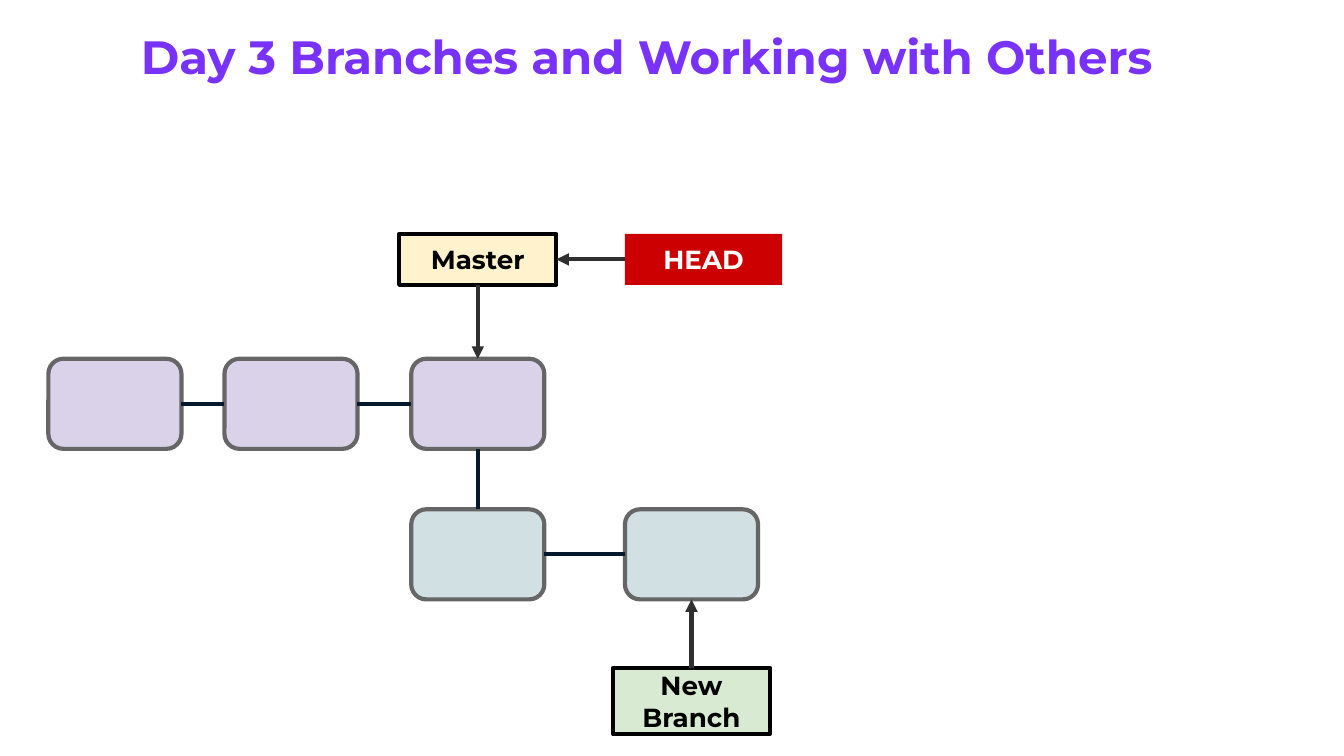
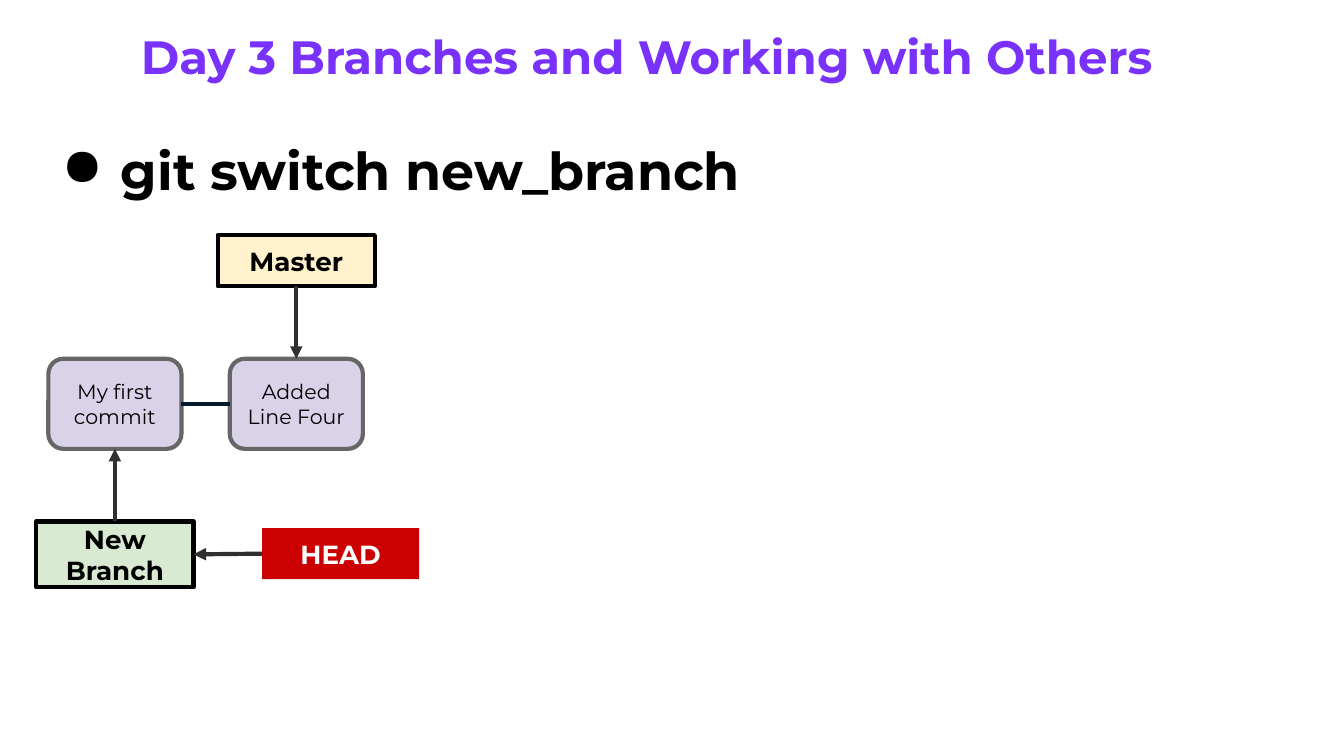
from lxml import etree
from pptx import Presentation
from pptx import util as u
from pptx.dml.color import RGBColor
from pptx.enum import shapes, text
from pptx.oxml import ns

COLORS = {
    "title": "7932FC", "black": "000000", "white": "FFFFFF",
    "commit": "D9D2E9", "branch_commit": "D0E0E3", "commit_line": "666666",
    "master": "FFF2CC", "new_branch": "D9EAD3", "head": "CC0000",
    "link": "05192D", "arrow": "303030",
}
FONT = "Montserrat"
TITLE = "Day 3 Branches and Working with Others"
LINE_WIDTH = u.Pt(2.25)
TOP, LEFT, BOTTOM, RIGHT = range(4)
COMMIT_SIZE = (0.99, 0.67)
LABEL_WIDTH = 1.17
MAIN_ROW = 2.67
BRANCH_ROW = 3.79


def color(name):
    return RGBColor.from_string(COLORS[name])


def write(frame, content, size=14, bold=True, ink="black",
          align=text.PP_ALIGN.CENTER, anchor=text.MSO_ANCHOR.MIDDLE):
    frame.word_wrap = True
    frame.vertical_anchor = anchor
    frame.margin_left = frame.margin_right = u.Inches(0.1)
    frame.margin_top = frame.margin_bottom = u.Inches(0.1)
    for index, line in enumerate(content.split("\n")):
        paragraph = frame.add_paragraph() if index else frame.paragraphs[0]
        paragraph.alignment = align
        run = paragraph.add_run()
        run.text = line
        run.font.name = FONT
        run.font.size = u.Pt(size)
        run.font.bold = bold
        run.font.color.rgb = color(ink)


class Deck:
    def __init__(self):
        self.presentation = Presentation()
        self.presentation.slide_width = u.Inches(10)
        self.presentation.slide_height = u.Inches(5.625)
        self.slide = None

    def add_slide(self):
        layout = self.presentation.slide_layouts[6]
        self.slide = self.presentation.slides.add_slide(layout)
        self.text_box(TITLE, (0.95, 0.11, 8.4, 0.62), 25, "title")

    def text_box(self, content, place, size, ink):
        shape = self.slide.shapes.add_textbox(*map(u.Inches, place))
        write(shape.text_frame, content, size=size, ink=ink,
              align=text.PP_ALIGN.LEFT, anchor=text.MSO_ANCHOR.TOP)
        shape.text_frame.auto_size = text.MSO_AUTO_SIZE.SHAPE_TO_FIT_TEXT
        return shape

    def bullet(self, content, place):
        shape = self.text_box(content, place, 28, "black")
        properties = shape.text_frame.paragraphs[0]._p.get_or_add_pPr()
        properties.set("marL", str(u.Inches(0.5)))
        properties.set("indent", str(u.Inches(-0.44)))
        bullet_color = etree.SubElement(properties, ns.qn("a:buClr"))
        etree.SubElement(bullet_color, ns.qn("a:srgbClr"), val=COLORS["black"])
        etree.SubElement(properties, ns.qn("a:buChar"), char="●")

    def box(self, kind, place, fill, line=None):
        shape = self.slide.shapes.add_shape(kind, *map(u.Inches, place))
        shape.shadow.inherit = False
        shape.fill.solid()
        shape.fill.fore_color.rgb = color(fill)
        if line:
            shape.line.color.rgb = color(line)
            shape.line.width = LINE_WIDTH
        else:
            shape.line.fill.background()
        return shape

    def commit(self, left, top, fill="commit", message=None):
        shape = self.box(shapes.MSO_SHAPE.ROUNDED_RECTANGLE,
                         (left, top, *COMMIT_SIZE), fill, "commit_line")
        if message:
            write(shape.text_frame, message, size=11, bold=False)
        return shape

    def label(self, content, left, top, fill, height=0.38, line="black", ink="black"):
        shape = self.box(shapes.MSO_SHAPE.RECTANGLE,
                         (left, top, LABEL_WIDTH, height), fill, line)
        write(shape.text_frame, content, ink=ink)
        return shape

    def master(self, left, top):
        return self.label("Master", left, top, "master")

    def new_branch(self, left, top):
        return self.label("New Branch", left, top, "new_branch", height=0.49)

    def head(self, left, top):
        return self.label("HEAD", left, top, "head", line=None, ink="white")

    def connect(self, start, start_side, end, end_side, ink, kind):
        connector = self.slide.shapes.add_connector(kind, 0, 0, 0, 0)
        connector.begin_connect(start, start_side)
        connector.end_connect(end, end_side)
        connector.line.color.rgb = color(ink)
        connector.line.width = LINE_WIDTH
        etree.SubElement(connector._element.spPr, ns.qn("a:effectLst"))
        return connector

    def link(self, start, end, start_side=RIGHT, end_side=LEFT,
             kind=shapes.MSO_CONNECTOR.ELBOW):
        self.connect(start, start_side, end, end_side, "link", kind)

    def arrow(self, start, start_side, end, end_side):
        connector = self.connect(start, start_side, end, end_side, "arrow",
                                 shapes.MSO_CONNECTOR.STRAIGHT)
        etree.SubElement(connector.line._get_or_add_ln(), ns.qn("a:tailEnd"),
                         type="triangle")


def build_branch_slide(deck):
    deck.add_slide()
    first, second, third = [deck.commit(left, MAIN_ROW) for left in (0.36, 1.67, 3.06)]
    fourth, fifth = [deck.commit(left, BRANCH_ROW, "branch_commit")
                     for left in (3.06, 4.65)]
    master = deck.master(2.97, 1.74)
    new_branch = deck.new_branch(4.56, 4.97)
    head = deck.head(4.65, 1.74)
    for start, end in ((first, second), (second, third), (fourth, fifth)):
        deck.link(start, end)
    deck.link(fourth, third, TOP, BOTTOM, shapes.MSO_CONNECTOR.STRAIGHT)
    deck.arrow(master, BOTTOM, third, TOP)
    deck.arrow(new_branch, TOP, fifth, BOTTOM)
    deck.arrow(head, LEFT, master, RIGHT)


def build_switch_slide(deck):
    deck.add_slide()
    deck.bullet("git switch new_branch", (0.3, 0.93, 9.25, 0.67))
    first = deck.commit(0.36, MAIN_ROW, message="My first commit")
    second = deck.commit(1.71, MAIN_ROW, message="Added\nLine Four")
    master = deck.master(1.62, 1.75)
    new_branch = deck.new_branch(0.27, 3.88)
    head = deck.head(1.95, 3.93)
    deck.link(first, second)
    deck.arrow(master, BOTTOM, second, TOP)
    deck.arrow(new_branch, TOP, first, BOTTOM)
    deck.arrow(head, LEFT, new_branch, RIGHT)


def main():
    deck = Deck()
    build_branch_slide(deck)
    build_switch_slide(deck)
    deck.presentation.save("out.pptx")


if __name__ == "__main__":
    main()
